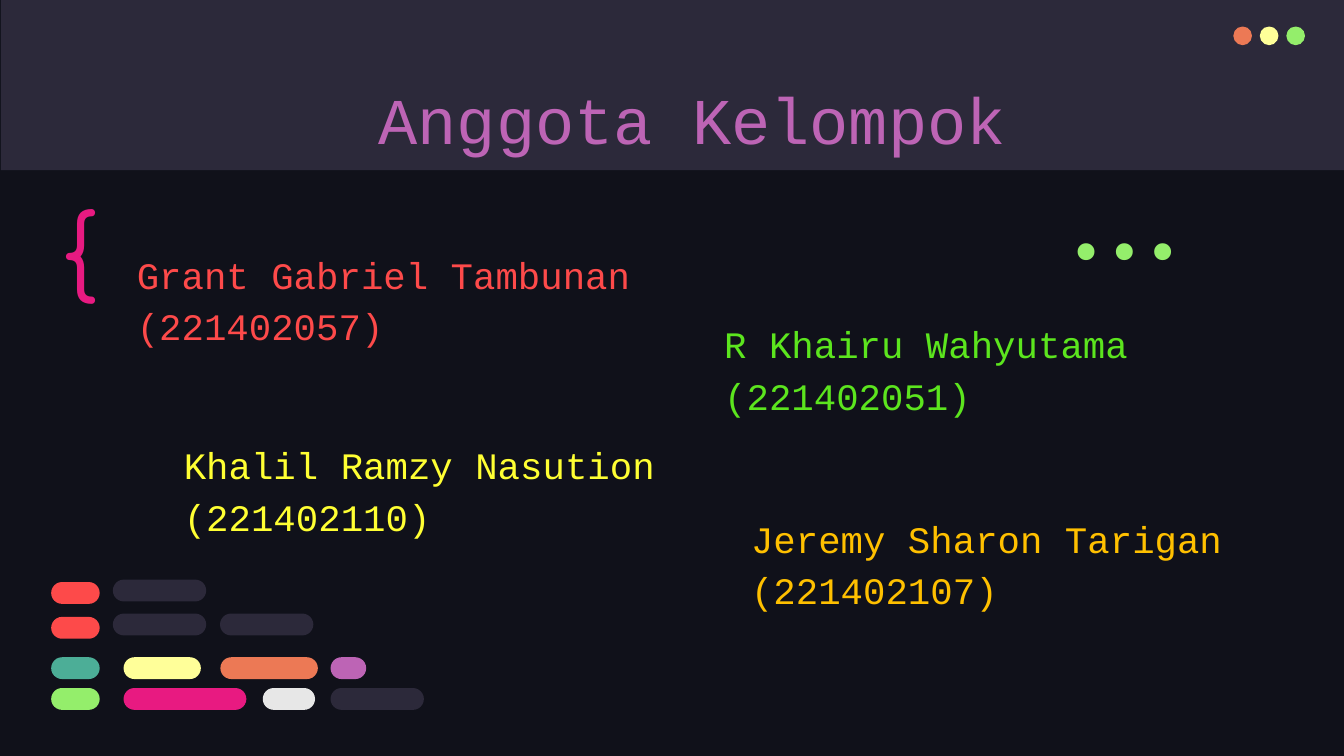
from pptx import Presentation
from pptx.dml.color import RGBColor
from pptx.enum.shapes import MSO_SHAPE
from pptx.enum.text import MSO_ANCHOR, PP_ALIGN
from pptx.util import Pt

RECT, OVAL, PILL = MSO_SHAPE.RECTANGLE, MSO_SHAPE.OVAL, MSO_SHAPE.ROUNDED_RECTANGLE
TOP, BOTTOM = MSO_ANCHOR.TOP, MSO_ANCHOR.BOTTOM
LEFT, CENTER, RIGHT = PP_ALIGN.LEFT, PP_ALIGN.CENTER, PP_ALIGN.RIGHT

THEME = {
    "night": "10111A", "panel": "2C293A", "orange": "EC7955", "cream": "FFFF99",
    "lime": "94EE6B", "purple": "BD64B5", "red": "FD4A4A", "green": "5CE51E",
    "yellow": "FFFF33", "amber": "FFC000", "teal": "4CAE97", "pink": "E81A81",
    "white": "E7E7E7",
    "mono": "Courier New", "code": "Fira Code", "round": "Comfortaa",
    "title": 35, "body": 20, "symbol": 50,
}

TITLE = "Anggota Kelompok"
MEMBERS = [
    (["Jeremy Sharon Tarigan", "(221402107)"], "amber",
     (384.5, 265.7, 278.6, 67.7), TOP, 36, -25.2),
    (["Grant Gabriel Tambunan (221402057)"], "red",
     (66.2, 122.4, 308.9, 71.3), BOTTOM, 0, 0),
    (["R Khairu Wahyutama (221402051)"], "green",
     (380.9, 154.1, 256.3, 77), BOTTOM, 0, 0),
    (["Khalil Ramzy Nasution (221402110)"], "yellow",
     (91.4, 228.2, 272.2, 67.7), BOTTOM, 0, 0),
]
WINDOW_DOTS = ["orange", "cream", "lime"]
CODE_ROWS = [
    (311.8, [(27.4, 26, "red")]),
    (330.5, [(27.4, 26, "red")]),
    (352.1, [(27.4, 26, "teal"), (66.2, 41.4, "cream"),
             (118.1, 52.2, "orange"), (177.1, 19.1, "purple")]),
    (368.6, [(27.4, 26, "lime"), (66.2, 65.8, "pink"),
             (140.8, 28, "white"), (177.1, 50, "panel")]),
    (328.7, [(60.5, 50, "panel"), (117.9, 50, "panel")]),
    (310.5, [(60.5, 50, "panel")]),
]
PILL_HEIGHT = 11.7
DOT_LEFT, DOT_TOP, DOT_SIZE, DOT_PITCH = 660.7, 14.2, 10, 14.2
INSET = 7.2
TITLE_INSET = 28.2


def color(name):
    return RGBColor.from_string(THEME[name])


def add_block(slide, kind, box, fill):
    block = slide.shapes.add_shape(kind, *map(Pt, box))
    block.shadow.inherit = False
    block.fill.solid()
    block.fill.fore_color.rgb = color(fill)
    block.line.fill.background()
    if kind == PILL:
        block.adjustments[0] = 0.5


def add_text(slide, lines, box, size, font, ink, anchor=TOP, align=LEFT,
             spacing=1.0, margin=0, indent=0, left_inset=INSET):
    frame = slide.shapes.add_textbox(*map(Pt, box)).text_frame
    frame.word_wrap = True
    frame.vertical_anchor = anchor
    frame.margin_left = Pt(left_inset)
    frame.margin_top = frame.margin_right = frame.margin_bottom = Pt(INSET)
    frame.text = "\n".join(lines)
    for line in frame.paragraphs:
        line.alignment = align
        line.line_spacing = spacing
        line.font.size = Pt(THEME[size])
        line.font.name = THEME[font]
        line.font.color.rgb = color(ink)
        if margin:
            properties = line._p.get_or_add_pPr()
            properties.set("marL", str(Pt(margin)))
            properties.set("indent", str(Pt(indent)))


def main():
    deck = Presentation()
    deck.slide_width, deck.slide_height = Pt(720), Pt(405)
    slide = deck.slides.add_slide(deck.slide_layouts[6])
    slide.background.fill.solid()
    slide.background.fill.fore_color.rgb = color("night")

    add_block(slide, RECT, (0.5, 0, 720, 91.2), "panel")
    for index, fill in enumerate(WINDOW_DOTS):
        left = DOT_LEFT + index * DOT_PITCH
        add_block(slide, OVAL, (left, DOT_TOP, DOT_SIZE, DOT_SIZE), fill)

    add_text(slide, [TITLE], (56.9, 35.3, 607, 45.4), "title", "mono", "purple",
             align=CENTER, left_inset=TITLE_INSET)
    for lines, ink, box, anchor, margin, indent in MEMBERS:
        add_text(slide, lines, box, "body", "mono", ink, anchor,
                 spacing=1.15, margin=margin, indent=indent)

    for top, pills in CODE_ROWS:
        for left, width, fill in pills:
            add_block(slide, PILL, (left, top, width, PILL_HEIGHT), fill)

    add_text(slide, ["..."], (542.2, 113, 113.8, 43.2), "symbol", "code", "lime",
             BOTTOM, RIGHT)
    add_text(slide, ["{"], (25.9, 94.3, 55.4, 68.4), "symbol", "round", "pink")
    deck.save("out.pptx")


if __name__ == "__main__":
    main()
